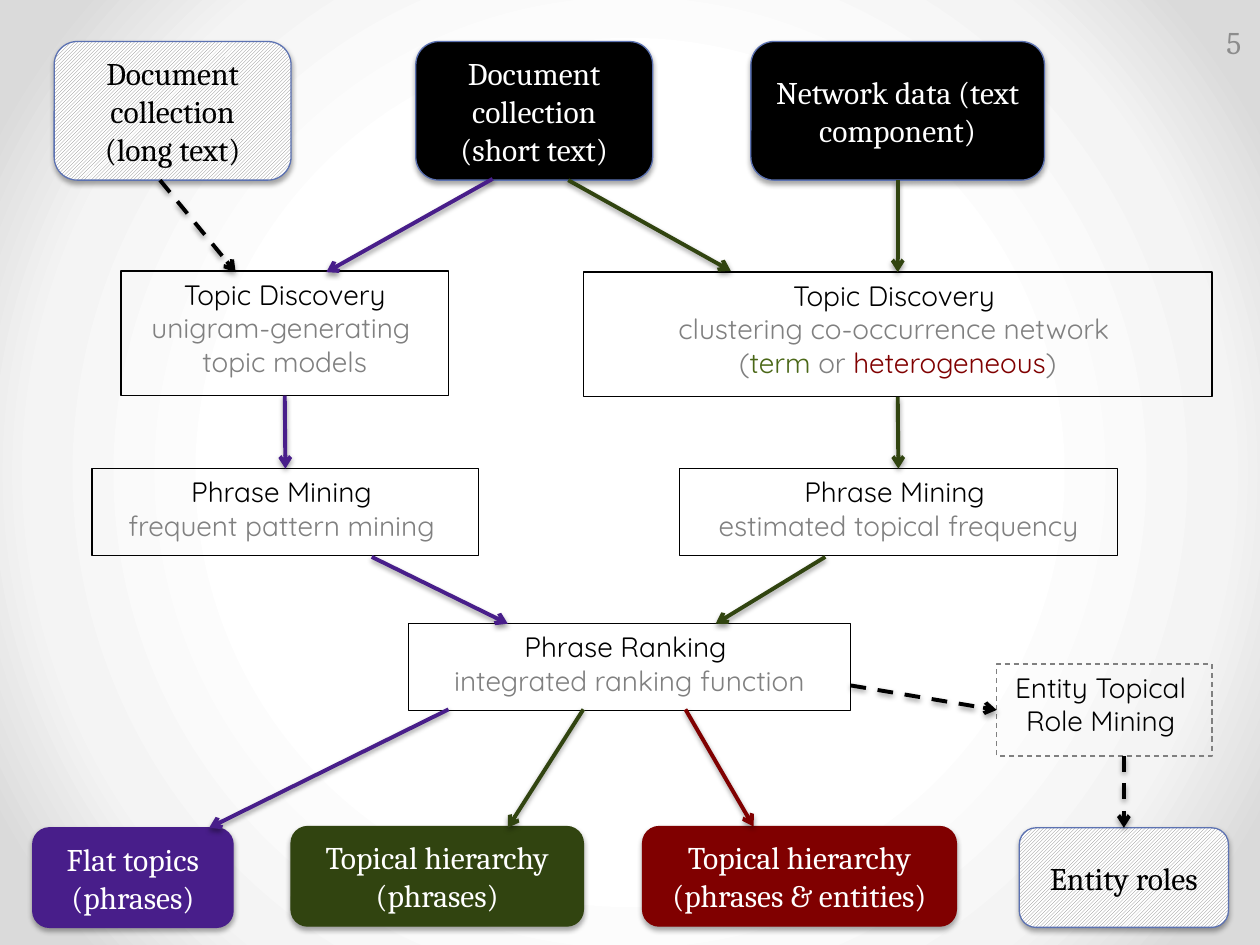
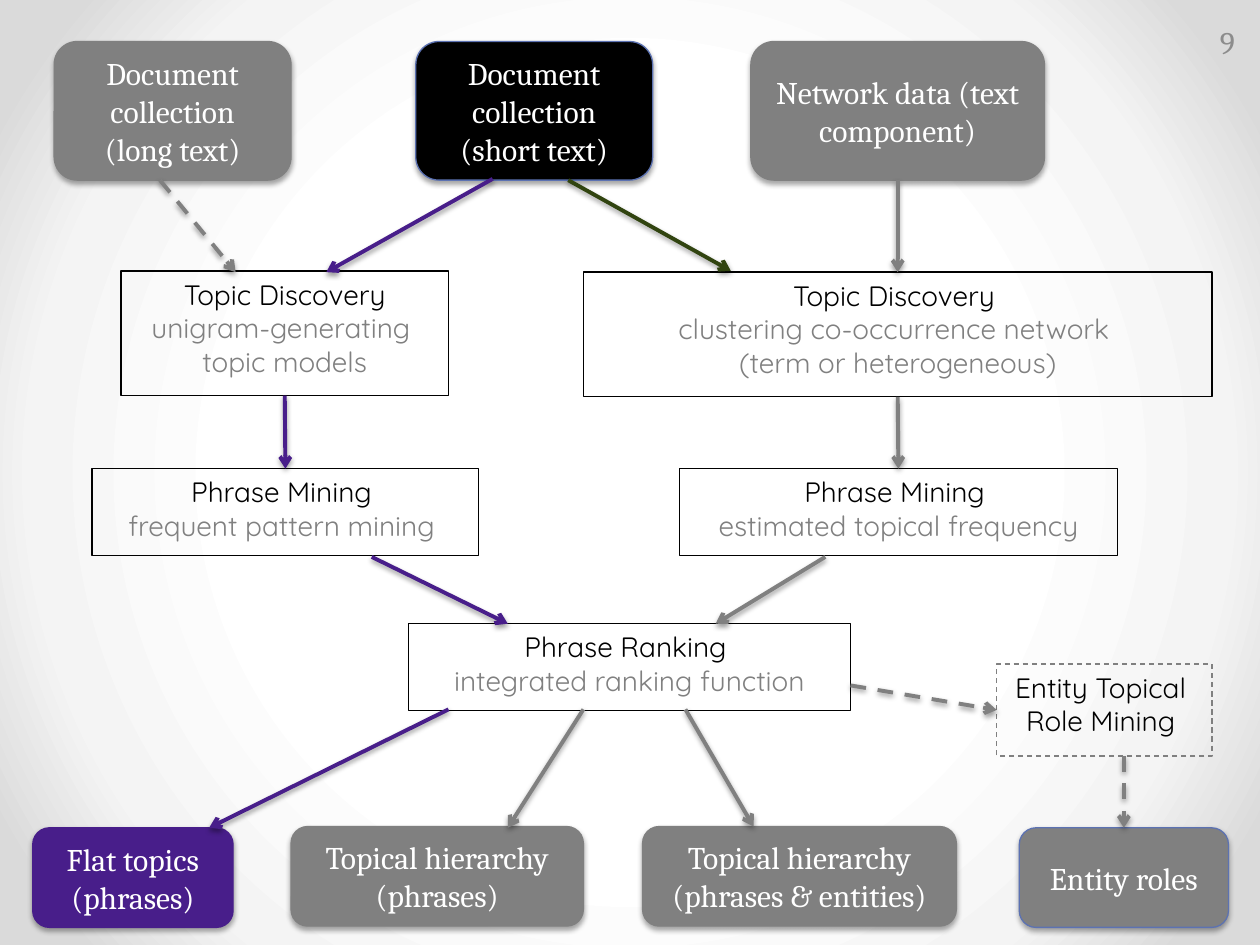
"""Build two slides of a topic mining flow chart, the second with one route highlighted."""
from lxml import etree
from pptx import Presentation
from pptx.dml.color import RGBColor
from pptx.enum.dml import MSO_LINE, MSO_PATTERN
from pptx.enum.shapes import MSO_CONNECTOR, MSO_SHAPE
from pptx.enum.text import MSO_ANCHOR, PP_ALIGN
from pptx.oxml import parse_xml
from pptx.oxml.ns import nsdecls, qn
from pptx.util import Pt

PX = 9144
DASH = MSO_LINE.DASH
HATCH = MSO_PATTERN.LIGHT_UPWARD_DIAGONAL
STRAIGHT = MSO_CONNECTOR.STRAIGHT
RECTANGLE, ROUNDED = MSO_SHAPE.RECTANGLE, MSO_SHAPE.ROUNDED_RECTANGLE
TOP, MIDDLE = MSO_ANCHOR.TOP, MSO_ANCHOR.MIDDLE
CENTER, RIGHT = PP_ALIGN.CENTER, PP_ALIGN.RIGHT
COLOURS = {
    "black": "000000", "white": "FFFFFF", "grey": "808080", "number": "8C8C8C",
    "purple": "481E8A", "green": "314410", "red": "800000", "term": "4A6717", "blue": "5C72B2",
}
RGB = {name: RGBColor.from_string(value) for name, value in COLOURS.items()}
SERIF, SANS = "Cambria", "Quicksand"
BACKGROUND_STOPS = [(50, "FFFFFF"), (76, "F4F4F4"), (92, "DADADA")]

TERMINALS = {
    "hierarchy": (231, 656, 232, 79, "Topical hierarchy\n(phrases)", "green"),
    "flat": (26, 657, 159, 79, "Flat topics\n(phrases)", "purple"),
    "entities": (510, 656, 249, 79, "Topical hierarchy\n(phrases & entities)", "red"),
    "roles": (809, 657, 166, 79, "Entity roles", "hatch"),
    "long": (43, 33, 188, 110, "Document collection (long text)", "hatch"),
    "network": (596, 33, 233, 110, "Network data (text component)", "black"),
    "short": (330, 33, 188, 110, "Document collection (short text)", "black"),
}
DISCOVERY = [("Topic Discovery ", "black")]
MINING = [("Phrase Mining ", "black")]
STEPS = {
    "models": (96, 215, 260, 99, [DISCOVERY + [("unigram-generating ", "grey")],
                                  [("topic models", "grey")]]),
    "patterns": (73, 372, 307, 69, [MINING, [("frequent pattern mining ", "grey")]]),
    "ranking": (324, 495, 351, 69, [[("Phrase Ranking ", "black")],
                                    [("integrated ranking function", "grey")]]),
    "frequency": (539, 372, 348, 69, [MINING, [("estimated topical frequency", "grey")]]),
    "clustering": (463, 216, 499, 99, [DISCOVERY, [("clustering co-occurrence network ", "grey")]]),
    "entity mining": (791, 527, 171, 73, [[("Entity Topical ", "black")], [("Role Mining ", "black")]]),
}
ARROWS = [
    ("clustering-frequency", 712, 315, 712, 372, "green"),
    ("ranking-entity mining", 675, 544, 791, 563, "black"),
    ("entity mining-roles", 892, 600, 892, 657, "black"),
    ("ranking-hierarchy", 463, 563, 403, 657, "green"),
    ("ranking-flat", 356, 563, 166, 657, "purple"),
    ("frequency-ranking", 655, 442, 568, 495, "green"),
    ("patterns-ranking", 295, 442, 403, 495, "purple"),
    ("models-patterns", 227, 314, 227, 372, "purple"),
    ("long-models", 127, 143, 187, 216, "black"),
    ("network-clustering", 712, 142, 712, 216, "green"),
    ("short-models", 391, 142, 259, 216, "purple"),
    ("ranking-entities", 544, 563, 598, 656, "red"),
    ("short-clustering", 451, 143, 580, 215, "green"),
]
JOINTS = {
    "clustering-frequency": (2, 0), "models-patterns": (2, 0), "network-clustering": (2, 0),
    "ranking-entity mining": (None, 1), "entity mining-roles": (None, 0),
}
EVERYTHING = set(TERMINALS) | {arrow[0] for arrow in ARROWS}
ROUTE = {"short", "flat", "short-models", "short-clustering", "models-patterns",
         "patterns-ranking", "ranking-flat"}
PAGES = [
    ("5", 934, EVERYTHING, [("(", "grey"), ("term", "term"), (" or ", "grey"),
                            ("heterogeneous", "red"), (")", "grey")]),
    ("9", 929, ROUTE, [("(term or heterogeneous)", "grey")]),
]


def write(box, paragraphs, size=18, face=SERIF, align=CENTER, anchor=MIDDLE):
    """Fill a box with paragraphs, each a list of (text, colour) pairs."""
    frame = box.text_frame
    frame.word_wrap = True
    frame.vertical_anchor = anchor
    for index, pieces in enumerate(paragraphs):
        para = frame.add_paragraph() if index else frame.paragraphs[0]
        para.alignment = align
        for text, colour in pieces:
            span = para.add_run()
            span.text = text
            span.font.size = Pt(size)
            span.font.name = face
            span.font.color.rgb = RGB[colour]


def add_shadow(item, distance, opacity):
    """Give a shape or connector a soft shadow that falls straight down."""
    properties = item.element.spPr
    effects = properties.find(qn("a:effectLst"))
    if effects is None:
        effects = etree.SubElement(properties, qn("a:effectLst"))
    effects.append(parse_xml(
        f'<a:outerShdw {nsdecls("a")} blurRad="{Pt(3.1)}" dist="{Pt(distance)}" dir="5400000" '
        f'rotWithShape="0"><a:srgbClr val="{COLOURS["black"]}">'
        f'<a:alpha val="{opacity * 1000}"/></a:srgbClr></a:outerShdw>'))


deck = Presentation()
deck.slide_width, deck.slide_height = 1000 * PX, 750 * PX
master = deck.slide_master
master.background.fill.solid()
backdrop = master.element.find(".//" + qn("p:bgPr"))
stops = "".join(f'<a:gs pos="{place * 1000}"><a:srgbClr val="{colour}"/></a:gs>'
                for place, colour in BACKGROUND_STOPS)
backdrop.replace(backdrop.find(qn("a:solidFill")), parse_xml(
    f'<a:gradFill {nsdecls("a")} rotWithShape="1"><a:gsLst>{stops}</a:gsLst><a:path path="circle">'
    '<a:fillToRect l="50000" t="50000" r="50000" b="50000"/></a:path></a:gradFill>'))

for number, number_left, active, cluster_kinds in PAGES:
    page = deck.slides.add_slide(deck.slide_layouts[6])
    boxes = {}

    for name, (left, top, width, height, paragraphs) in STEPS.items():
        box = page.shapes.add_shape(RECTANGLE, left * PX, top * PX, width * PX, height * PX)
        box.shadow.inherit = False
        box.fill.background()
        box.line.width = Pt(0.75)
        box.line.color.rgb = RGB["black"]
        if name == "entity mining":
            box.line.color.rgb = RGB["grey"]
            box.line.dash_style = DASH
        extra = [cluster_kinds] if name == "clustering" else []
        write(box, paragraphs + extra, size=16, face=SANS, anchor=TOP)
        boxes[name] = box

    for name, (left, top, width, height, text, colour) in TERMINALS.items():
        fill = colour if name in active else "grey"
        box = page.shapes.add_shape(ROUNDED, left * PX, top * PX, width * PX, height * PX)
        box.shadow.inherit = False
        add_shadow(box, distance=1.8, opacity=35)
        if fill == "hatch":
            box.fill.patterned()
            box.fill.pattern = HATCH
            box.fill.fore_color.rgb = RGB["grey"]
            box.fill.back_color.rgb = RGB["white"]
        else:
            box.fill.solid()
            box.fill.fore_color.rgb = RGB[fill]
        box.line.width = Pt(0.75)
        blue_edge = fill in ("hatch", "black") or name == "roles"
        box.line.color.rgb = RGB["blue" if blue_edge else fill]
        ink = "black" if fill == "hatch" else "white"
        write(box, [[(line, ink)] for line in text.split("\n")])
        boxes[name] = box

    for name, start_x, start_y, end_x, end_y, colour in ARROWS:
        arrow = page.shapes.add_connector(STRAIGHT, start_x * PX, start_y * PX, end_x * PX, end_y * PX)
        source, target = name.split("-")
        begin_side, end_side = JOINTS.get(name, (None, None))
        if begin_side is not None:
            arrow.begin_connect(boxes[source], begin_side)
        if end_side is not None:
            arrow.end_connect(boxes[target], end_side)
        arrow.line.width = Pt(2.25)
        arrow.line.color.rgb = RGB[colour if name in active else "grey"]
        if colour == "black":
            arrow.line.dash_style = DASH
        etree.SubElement(arrow.element.spPr.find(qn("a:ln")), qn("a:tailEnd"), type="arrow")
        add_shadow(arrow, distance=1.6, opacity=38)

    number_box = page.shapes.add_textbox(number_left * PX, 13 * PX, 61 * PX, 40 * PX)
    write(number_box, [[(number, "number")]], align=RIGHT)

deck.save("out.pptx")
